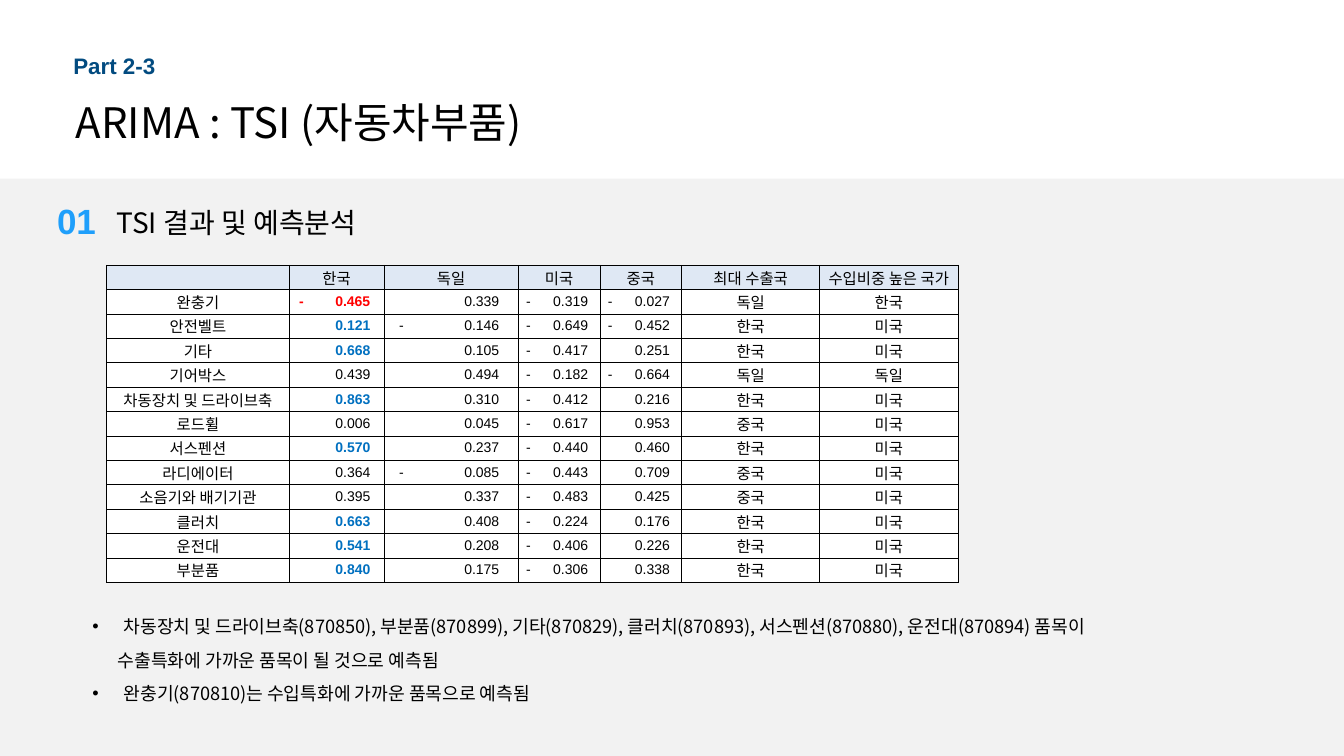
from dataclasses import dataclass

from lxml import etree
from pptx import Presentation
from pptx.dml.color import RGBColor
from pptx.enum.shapes import MSO_SHAPE
from pptx.enum.text import MSO_ANCHOR, MSO_AUTO_SIZE, PP_ALIGN
from pptx.oxml.ns import qn
from pptx.util import Cm, Pt

RECT = MSO_SHAPE.RECTANGLE
TOP, MIDDLE = MSO_ANCHOR.TOP, MSO_ANCHOR.MIDDLE
LEFT, CENTER, RIGHT = PP_ALIGN.LEFT, PP_ALIGN.CENTER, PP_ALIGN.RIGHT
GROW = MSO_AUTO_SIZE.SHAPE_TO_FIT_TEXT


@dataclass
class Theme:
    latin: str = "Arial"
    korean: str = "Noto Sans CJK KR"
    black: str = "000000"
    white: str = "FFFFFF"
    band: str = "F2F2F2"
    header: str = "DFE8F4"
    navy: str = "024B80"
    sky: str = "1F9FFB"
    blue: str = "0070C0"
    red: str = "FF0000"
    kicker: int = 16
    title: int = 30
    number: int = 25
    heading: int = 20
    body: int = 13
    label: int = 11
    value: int = 10
    line_pitch: float = 23.6


# Table content
COLUMN_WIDTHS = [4.6, 2.39, 3.38, 2.06, 2.06, 3.48, 3.48]
TABLE_HEIGHT = 8.0
# Left and right inset of each number column
VALUE_INSETS = {1: (0.25, 0.35), 2: (0.38, 0.48), 3: (0.2, 0.3), 4: (0.2, 0.3)}
HEADERS = ["", "한국", "독일", "미국", "중국", "최대 수출국", "수입비중 높은 국가"]
ITEMS = [
    ["완충기", "-0.465", "0.339", "-0.319", "-0.027", "독일", "한국"],
    ["안전벨트", "0.121", "-0.146", "-0.649", "-0.452", "한국", "미국"],
    ["기타", "0.668", "0.105", "-0.417", "0.251", "한국", "미국"],
    ["기어박스", "0.439", "0.494", "-0.182", "-0.664", "독일", "독일"],
    ["차동장치 및 드라이브축", "0.863", "0.310", "-0.412", "0.216", "한국", "미국"],
    ["로드휠", "0.006", "0.045", "-0.617", "0.953", "중국", "미국"],
    ["서스펜션", "0.570", "0.237", "-0.440", "0.460", "한국", "미국"],
    ["라디에이터", "0.364", "-0.085", "-0.443", "0.709", "중국", "미국"],
    ["소음기와 배기기관", "0.395", "0.337", "-0.483", "0.425", "중국", "미국"],
    ["클러치", "0.663", "0.408", "-0.224", "0.176", "한국", "미국"],
    ["운전대", "0.541", "0.208", "-0.406", "0.226", "한국", "미국"],
    ["부분품", "0.840", "0.175", "-0.306", "0.338", "한국", "미국"],
]
# Items whose largest exporter is Korea
HIGHLIGHTED = {row[0] for row in ITEMS if row[5] == "한국"}

# Findings: text and whether it starts with a bullet
FINDINGS = [
    ("차동장치 및 드라이브축(870850), 부분품(870899), 기타(870829), 클러치(870893), "
     "서스펜션(870880), 운전대(870894) 품목이", True),
    ("수출특화에 가까운 품목이 될 것으로 예측됨", False),
    ("완충기(870810)는 수입특화에 가까운 품목으로 예측됨", True),
]


class Deck:
    def __init__(self, theme):
        self.theme = theme
        self.prs = Presentation()
        self.prs.slide_width, self.prs.slide_height = Cm(33.87), Cm(19.05)
        self.slide = self.prs.slides.add_slide(self.prs.slide_layouts[5])

    def run(self, p, text, size, color, font, bold=False):
        r = p.add_run()
        r.text = text
        formats = {"size": Pt(size), "name": font, "bold": bold}
        for name, value in formats.items():
            setattr(r.font, name, value)
        r.font.color.rgb = RGBColor.from_string(color)
        ea = etree.SubElement(r._r.get_or_add_rPr(), qn("a:ea"))
        ea.set("typeface", self.theme.korean)

    def frame(self, sp, anchor):
        tf = sp.text_frame
        formats = {"word_wrap": True, "auto_size": GROW, "vertical_anchor": anchor}
        for name, value in formats.items():
            setattr(tf, name, value)
        return tf

    def title(self, box, text):
        sp = self.slide.shapes.title
        sp.left, sp.top, sp.width, sp.height = map(Cm, box)
        p = self.frame(sp, MIDDLE).paragraphs[0]
        p.alignment = LEFT
        self.run(p, text, self.theme.title, self.theme.black, self.theme.korean)

    def band(self, box):
        sp = self.slide.shapes.add_shape(RECT, *map(Cm, box))
        sp.shadow.inherit = False
        sp.fill.solid()
        sp.fill.fore_color.rgb = RGBColor.from_string(self.theme.band)
        sp.line.fill.background()

    def text(self, box, text, size, color, font, bold=False, anchor=TOP):
        sp = self.slide.shapes.add_textbox(*map(Cm, box))
        p = self.frame(sp, anchor).paragraphs[0]
        self.run(p, text, size, color, font, bold)

    def findings(self, box, items):
        t = self.theme
        tf = self.frame(self.slide.shapes.add_textbox(*map(Cm, box)), TOP)
        for i, (text, bulleted) in enumerate(items):
            p = tf.add_paragraph() if i else tf.paragraphs[0]
            p.line_spacing = Pt(t.line_pitch)
            pPr = p._p.get_or_add_pPr()
            pPr.set("marL", str(Cm(0.79 if bulleted else 0.64)))
            pPr.set("indent", str(-Cm(0.79) if bulleted else 0))
            if bulleted:
                etree.SubElement(pPr, qn("a:buFont")).set("typeface", t.latin)
                etree.SubElement(pPr, qn("a:buChar")).set("char", "•")
            self.run(p, text, t.body, t.black, t.korean)

    def cell(self, cell, fill):
        for side in ("left", "right", "top", "bottom"):
            setattr(cell, f"margin_{side}", 0)
        cell.vertical_anchor = MIDDLE
        tcPr = cell._tc.get_or_add_tcPr()
        for tag in ("a:lnL", "a:lnR", "a:lnT", "a:lnB"):
            ln = etree.SubElement(tcPr, qn(tag), w=str(Pt(0.5)))
            solid = etree.SubElement(ln, qn("a:solidFill"))
            etree.SubElement(solid, qn("a:srgbClr"), val=self.theme.black)
        cell.fill.solid()
        cell.fill.fore_color.rgb = RGBColor.from_string(fill)

    def label(self, cell, text):
        p = cell.text_frame.paragraphs[0]
        p.alignment = CENTER
        if text:
            self.run(p, text, self.theme.label, self.theme.black, self.theme.latin)
        else:
            etree.SubElement(p._p, qn("a:endParaRPr"), sz=str(self.theme.label * 100))

    def value(self, cell, text, col, color, bold):
        """Minus sign at the left of the cell, digits flush right."""
        left, right = VALUE_INSETS[col]
        p = cell.text_frame.paragraphs[0]
        if text.startswith("-"):
            p.alignment = LEFT
            cell.margin_left = Cm(left)
            tabs = etree.SubElement(p._p.get_or_add_pPr(), qn("a:tabLst"))
            stop = Cm(COLUMN_WIDTHS[col] - left - right)
            etree.SubElement(tabs, qn("a:tab"), pos=str(stop), algn="r")
            text = text.replace("-", "-\t")
        else:
            p.alignment = RIGHT
            cell.margin_right = Cm(right)
        self.run(p, text, self.theme.value, color, self.theme.latin, bold)

    def table(self, left, top, headers, rows):
        t = self.theme
        grid = [headers] + rows
        sp = self.slide.shapes.add_table(
            len(grid), len(headers), Cm(left), Cm(top),
            Cm(sum(COLUMN_WIDTHS)), Cm(TABLE_HEIGHT))
        tbl = sp.table
        tbl.first_row = tbl.horz_banding = False
        for column, width in zip(tbl.columns, COLUMN_WIDTHS):
            column.width = Cm(width)
        for i, row in enumerate(grid):
            for j, text in enumerate(row):
                cell = tbl.cell(i, j)
                self.cell(cell, t.white if i else t.header)
                if i == 0 or j not in VALUE_INSETS:
                    self.label(cell, text)
                    continue
                color = t.black
                if j == 1 and text.startswith("-"):
                    color = t.red
                elif j == 1 and row[0] in HIGHLIGHTED:
                    color = t.blue
                self.value(cell, text, j, color, color != t.black)


def main():
    t = Theme()
    deck = Deck(t)

    # Heading area
    deck.band((0, 4.5, 33.87, 14.55))
    deck.text((1.6, 1.19, 2.82, 0.94), "Part 2-3", t.kicker, t.navy, t.latin, True)
    deck.title((1.65, 2.29, 16.79, 1.55), "ARIMA : TSI (자동차부품)")

    # Section heading
    deck.text((1.19, 4.9, 1.8, 1.37), "01", t.number, t.sky, t.latin, True)
    deck.text((2.69, 5.03, 12.6, 1.12), "TSI 결과 및 예측분석",
              t.heading, t.black, t.korean, anchor=MIDDLE)

    # Results and findings
    deck.table(2.69, 6.68, HEADERS, ITEMS)
    deck.findings((2.08, 15.11, 29.51, 3.48), FINDINGS)

    deck.prs.save("out.pptx")


if __name__ == "__main__":
    main()
